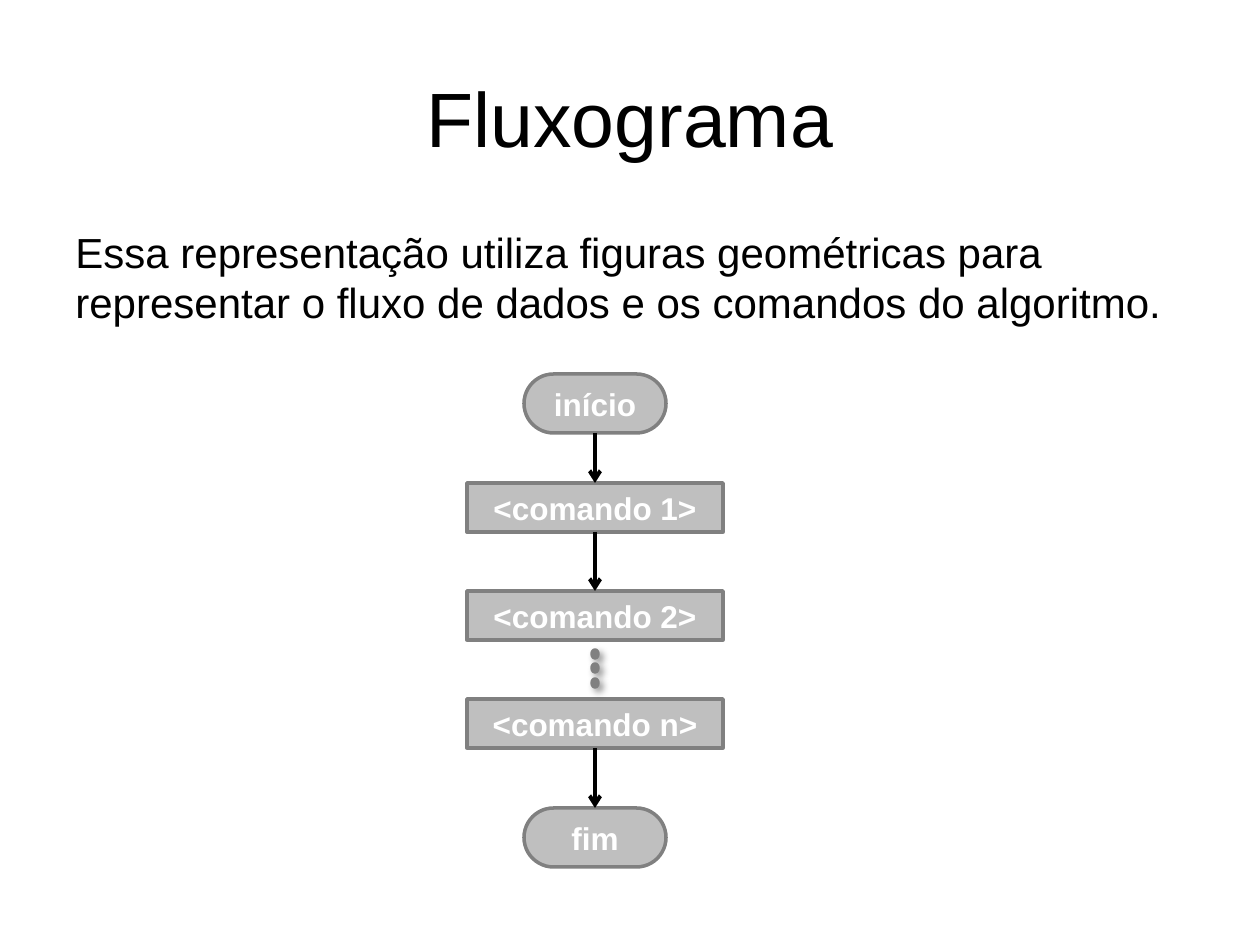
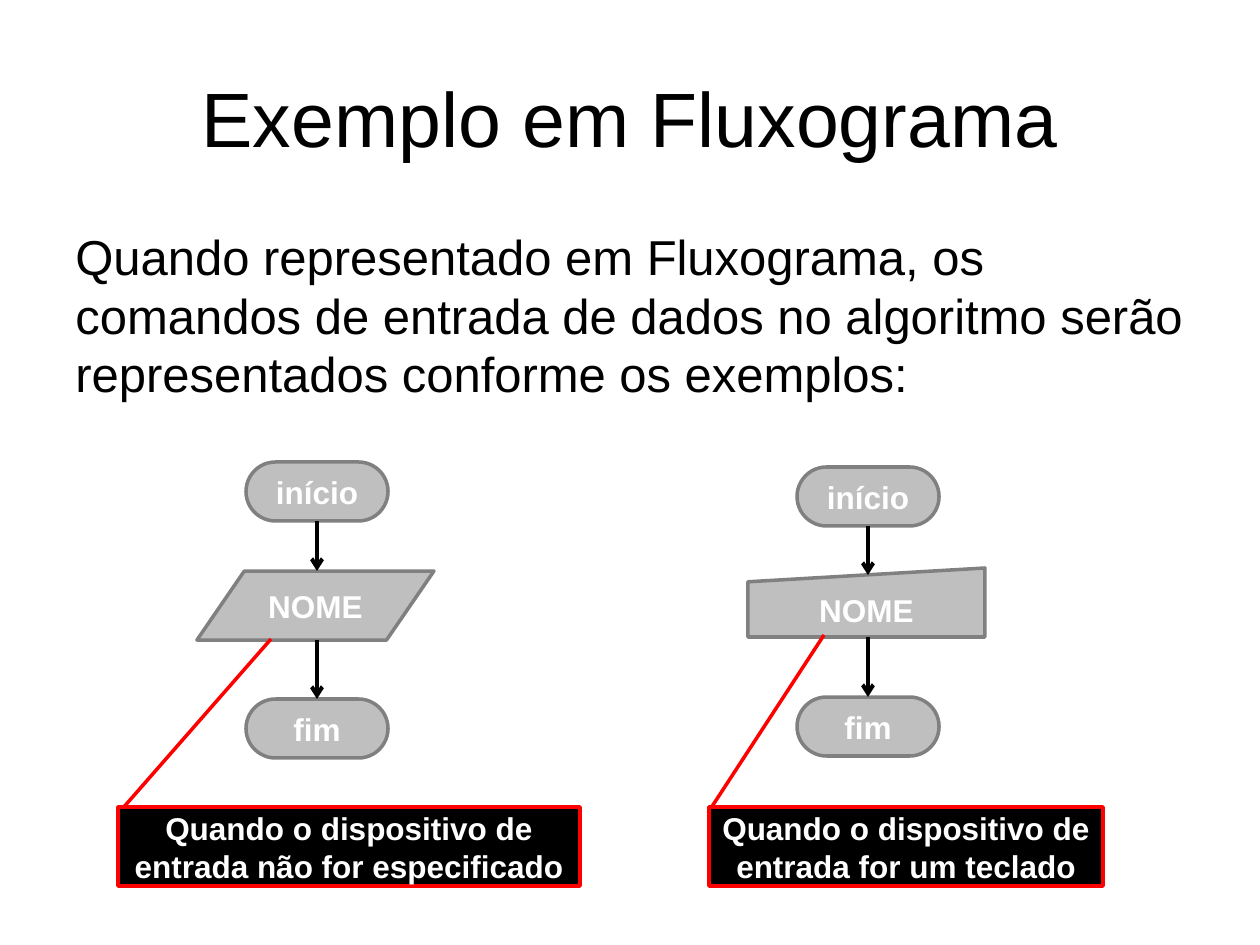
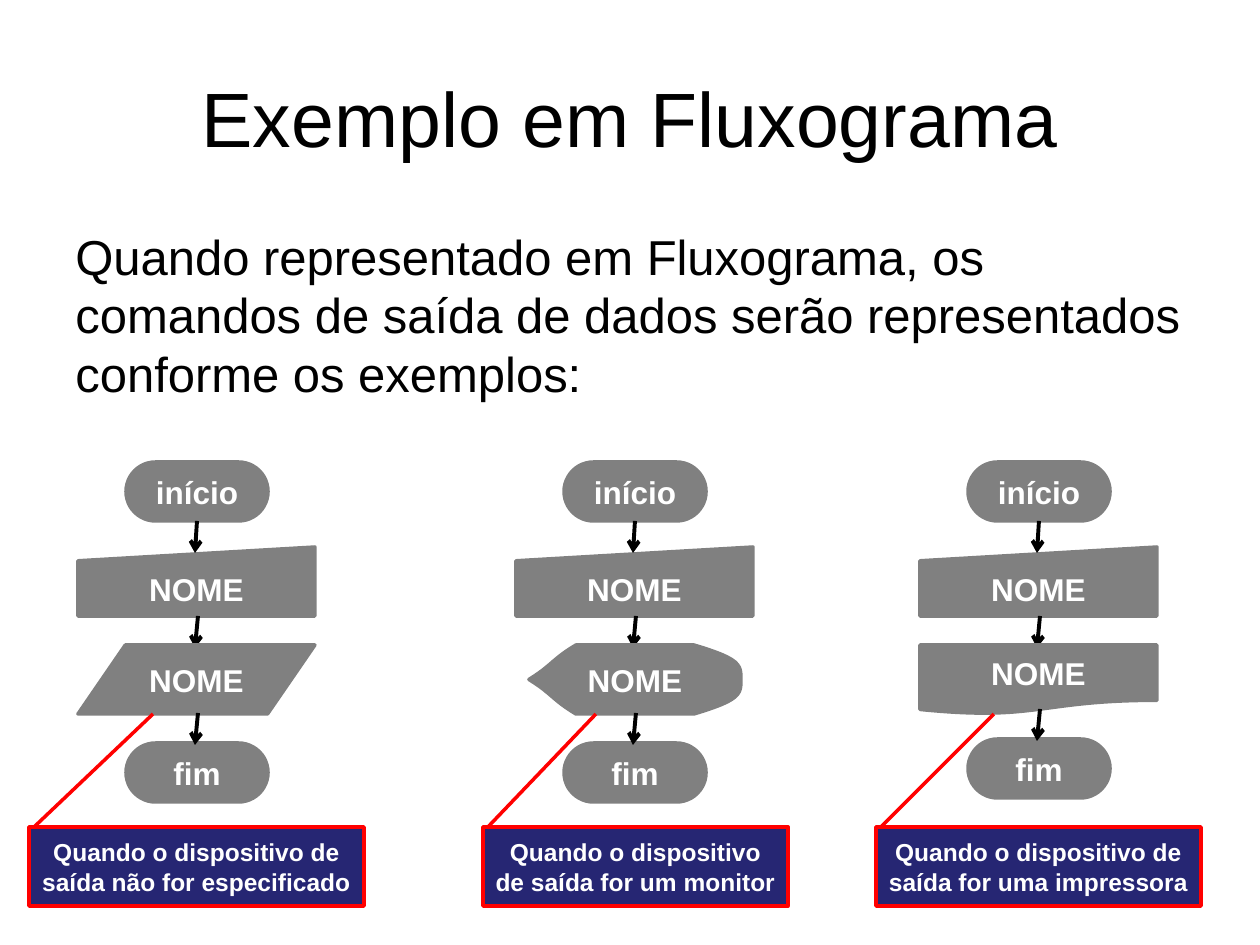
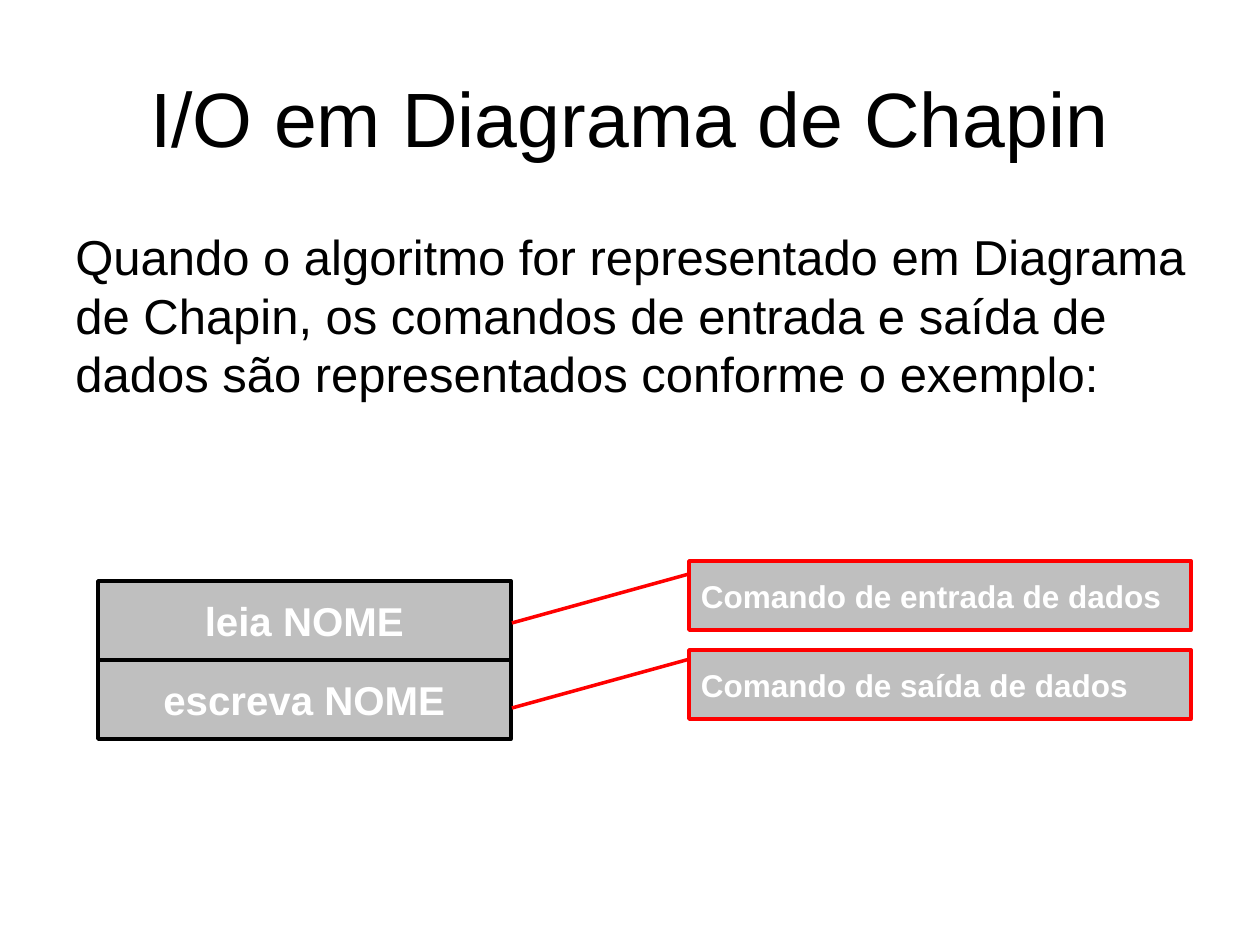
import dataclasses

import lxml.etree
import pptx
import pptx.dml.color
import pptx.enum.shapes
import pptx.enum.text
import pptx.oxml.ns
import pptx.util

SHAPE = pptx.enum.shapes.MSO_SHAPE
ALIGN = pptx.enum.text.PP_ALIGN
ANCHOR = pptx.enum.text.MSO_ANCHOR
RGB = pptx.dml.color.RGBColor.from_string
qn = pptx.oxml.ns.qn

PX = 914400 / 126
TOP, BOTTOM = 0, 2  # connection sites

TERMINAL_W, TERMINAL_H = 142, 59
SYMBOL_W, SYMBOL_H = 237, 69
CALLOUT_H = 79


@dataclasses.dataclass(frozen=True)
class Theme:
    font: str = "Arial"
    ink: str = "000000"
    paper: str = "FFFFFF"
    light: str = "BFBFBF"
    gray: str = "808080"
    red: str = "FF0000"
    navy: str = "262673"
    title_size: int = 44
    body_size: int = 28
    short_body_size: int = 24
    command_size: int = 23
    label_size: int = 18
    small_label_size: int = 14
    outline: float = 2
    arrow: float = 2.25


THEME = Theme()


def emu(px):
    return pptx.util.Emu(round(px * PX))


def write(frame, text, size, color, bold=False, align=ALIGN.CENTER, anchor=ANCHOR.MIDDLE):
    frame.word_wrap = True
    frame.vertical_anchor = anchor
    paragraph = frame.paragraphs[0]
    paragraph.alignment = align
    run = paragraph.add_run()
    run.text = text
    run.font.name = THEME.font
    run.font.size = pptx.util.Pt(size)
    run.font.bold = bold
    run.font.color.rgb = RGB(color)
    return paragraph


def add_heading(deck, title, body, body_height, body_size=THEME.body_size):
    """Add a slide with its title and introductory paragraph."""
    slide = deck.slides.add_slide(deck.slide_layouts[6])
    heading = slide.shapes.add_textbox(emu(63), emu(38), emu(1134), emu(157))
    write(heading.text_frame, title, THEME.title_size, THEME.ink)
    intro = slide.shapes.add_textbox(emu(63), emu(220), emu(1138), emu(body_height))
    paragraph = write(intro.text_frame, body, body_size, THEME.ink,
                      align=ALIGN.LEFT, anchor=ANCHOR.TOP)
    paragraph.space_before = pptx.util.Pt(round(body_size * 0.2))
    return slide


def paint(shape, fill, line):
    shape.shadow.inherit = False
    shape.fill.solid()
    shape.fill.fore_color.rgb = RGB(fill)
    shape.line.color.rgb = RGB(line)
    shape.line.width = pptx.util.Pt(THEME.outline)


def add_box(slide, kind, box, text="", fill=THEME.light, line=THEME.gray,
            size=THEME.label_size, align=ALIGN.CENTER):
    shape = slide.shapes.add_shape(kind, *map(emu, box))
    paint(shape, fill, line)
    if text:
        write(shape.text_frame, text, size, THEME.paper, True, align)
    return shape


def add_terminal(slide, center, top, text, fill=THEME.light):
    box = (center - TERMINAL_W // 2, top, TERMINAL_W, TERMINAL_H)
    terminal = add_box(slide, SHAPE.ROUNDED_RECTANGLE, box, text, fill)
    terminal.adjustments[0] = 0.5
    return terminal


def add_arrow(slide, start, end, source=None, target=None):
    """Draw an arrow, joined to the bottom of source and the top of target if given."""
    arrow = slide.shapes.add_connector(pptx.enum.shapes.MSO_CONNECTOR.STRAIGHT,
                                       *map(emu, (*start, *end)))
    if source is not None:
        arrow.begin_connect(source, BOTTOM)
    if target is not None:
        arrow.end_connect(target, TOP)
    arrow.line.color.rgb = RGB(THEME.ink)
    arrow.line.width = pptx.util.Pt(THEME.arrow)
    properties = arrow.element.spPr
    lxml.etree.SubElement(properties.find(qn("a:ln")), qn("a:tailEnd"), type="arrow")
    lxml.etree.SubElement(properties, qn("a:effectLst"))


def add_callout(slide, box, start, end, text, fill, **style):
    """Add a red-edged note whose leader runs from start to end, both in slide px."""
    left, top, width, height = box
    note = add_box(slide, SHAPE.LINE_CALLOUT_1, box, text, fill, THEME.red, **style)
    note.text_frame.margin_left = note.text_frame.margin_right = emu(12)
    ratios = [((y - top) / height, (x - left) / width) for x, y in (start, end)]
    for index, ratio in enumerate(ratios[0] + ratios[1]):
        note.adjustments[index] = ratio


def add_dot(slide, center, top):
    dot = add_box(slide, SHAPE.OVAL, (center - 3, top, 6, 8), fill=THEME.gray)
    effects = dot.element.spPr.find(qn("a:effectLst"))
    shadow = lxml.etree.SubElement(
        effects, qn("a:outerShdw"), blurRad=str(pptx.util.Pt(4)),
        dist=str(pptx.util.Pt(3)), dir=str(45 * 60000), algn="tl", rotWithShape="0")
    color = lxml.etree.SubElement(shadow, qn("a:srgbClr"), val=THEME.ink)
    lxml.etree.SubElement(color, qn("a:alpha"), val="40000")


def curve(p0, p1, p2, p3, steps=12):
    """Points along a cubic Bézier curve, without its first point."""
    for step in range(1, steps + 1):
        t = step / steps
        weights = ((1 - t) ** 3, 3 * t * (1 - t) ** 2, 3 * t * t * (1 - t), t ** 3)
        yield tuple(sum(w * p[axis] for w, p in zip(weights, (p0, p1, p2, p3)))
                    for axis in (0, 1))


def add_display(slide, center, top, text):
    """Monitor symbol: pointed on the left, rounded on the right."""
    width, height, shoulder = 212, SYMBOL_H, 47
    left, middle, bend = center - width // 2, height / 2, shoulder / 2
    right_shoulder = width - bend * 2
    outline = [(0, middle)]
    outline += curve((0, middle), (bend, 20), (bend, 14), (shoulder, 0))
    outline += curve((right_shoulder, 0), (width, 14), (width, 20), (width, middle))
    upper_right = (right_shoulder, 0)
    outline.insert(13, upper_right)
    outline += [(x, height - y) for x, y in reversed(outline[1:-1])]
    points = [(emu(left + x), emu(top + y)) for x, y in outline]
    builder = slide.shapes.build_freeform(*points[0])
    builder.add_line_segments(points[1:], close=True)
    display = builder.convert_to_shape()
    paint(display, THEME.gray, THEME.gray)
    write(display.text_frame, text, THEME.label_size, THEME.paper, True)


def add_command_flow(slide):
    center, first, step, width, height = 595, 483, 108, 256, 49
    commands = [
        add_box(slide, SHAPE.RECTANGLE,
                (center - width // 2, first + step * row, width, height), f"<comando {name}>")
        for row, name in enumerate("12n")
    ]
    begin = add_terminal(slide, center, 374, "início")
    finish = add_terminal(slide, center, 808, "fim")
    for source, target in ((begin, commands[0]), commands[:2], (commands[2], finish)):
        add_arrow(slide, (0, 0), (0, 0), source, target)
    for top in (650, 664, 679):
        add_dot(slide, center, top)


def add_input_flow(slide, center, kind, begin_top, symbol_top, finish_top, entry_top):
    """Start, one input symbol and end; entry_top is where the first arrow lands."""
    add_box(slide, kind, (center - 120, symbol_top, SYMBOL_W, SYMBOL_H), "NOME")
    begin = add_terminal(slide, center, begin_top, "início")
    finish = add_terminal(slide, center, finish_top, "fim")
    add_arrow(slide, (center, begin_top + TERMINAL_H), (center, entry_top), source=begin)
    add_arrow(slide, (center, symbol_top + SYMBOL_H), (center, finish_top), target=finish)


def add_output_flow(slide, center, kind, finish_top):
    """Start, keyboard input, output symbol (the display when kind is None) and end."""
    left, input_top, output_top = center - 119, 547, 645

    def short_arrow(top, source=None):
        add_arrow(slide, (center + 1, top), (center - 2, top + 32), source)

    add_box(slide, SHAPE.FLOWCHART_MANUAL_INPUT, (left, input_top, SYMBOL_W, SYMBOL_H),
            "NOME", THEME.gray)
    begin = add_terminal(slide, center, 462, "início", THEME.gray)
    add_terminal(slide, center, finish_top, "fim", THEME.gray)
    short_arrow(input_top + SYMBOL_H)
    if kind is None:
        add_display(slide, center, output_top, "NOME")
    else:
        add_box(slide, kind, (left, output_top, SYMBOL_W, SYMBOL_H), "NOME", THEME.gray)
    short_arrow(finish_top - 30)
    short_arrow(462 + TERMINAL_H, begin)


def add_flowchart_slide(deck):
    slide = add_heading(
        deck, "Fluxograma",
        "Essa representação utiliza figuras geométricas para representar o fluxo de dados "
        "e os comandos do algoritmo.", 134, THEME.short_body_size)
    add_command_flow(slide)


def add_input_slide(deck):
    slide = add_heading(
        deck, "Exemplo em Fluxograma",
        "Quando representado em Fluxograma, os comandos de entrada de dados no algoritmo "
        "serão representados conforme os exemplos:", 223)
    add_input_flow(slide, 317, SHAPE.FLOWCHART_DATA, 462, 571, 699, 571)
    add_input_flow(slide, 868, SHAPE.FLOWCHART_MANUAL_INPUT, 467, 568, 697, 575)
    for left, width, start, end, device in (
            (118, 462, (271, 639), (123, 808), "não for especificado"),
            (709, 394, (824, 635), (711, 808), "for um teclado")):
        add_callout(slide, (left, 807, width, CALLOUT_H), start, end,
                    f"Quando o dispositivo de entrada {device}", THEME.ink)


def add_output_slide(deck):
    slide = add_heading(
        deck, "Exemplo em Fluxograma",
        "Quando representado em Fluxograma, os comandos de saída de dados serão "
        "representados conforme os exemplos:", 213)
    for center, kind, finish_top in ((197, SHAPE.FLOWCHART_DATA, 743),
                                     (635, None, 743),
                                     (1039, SHAPE.FLOWCHART_DOCUMENT, 739)):
        add_output_flow(slide, center, kind, finish_top)
    for left, width, start_x, device in ((29, 335, 153, "não for especificado"),
                                         (483, 305, 596, "for um monitor"),
                                         (876, 325, 994, "for uma impressora")):
        add_callout(slide, (left, 827, width, CALLOUT_H), (start_x, 714), (left + 4, 828),
                    f"Quando o dispositivo de saída {device}", THEME.navy,
                    size=THEME.small_label_size)


def add_chapin_slide(deck):
    slide = add_heading(
        deck, "I/O em Diagrama de Chapin",
        "Quando o algoritmo for representado em Diagrama de Chapin, os comandos de entrada "
        "e saída de dados são representados conforme o exemplo:", 281)
    for row, command in enumerate(("leia NOME", "escreva NOME")):
        add_box(slide, SHAPE.RECTANGLE, (98, 581 + 79 * row, 413, 79), command,
                line=THEME.ink, size=THEME.command_size)
    for top, start, end, flow in ((561, (689, 574), (512, 623), "entrada"),
                                  (650, (690, 659), (512, 708), "saída")):
        add_callout(slide, (689, top, 502, SYMBOL_H), start, end,
                    f"Comando de {flow} de dados", THEME.light, align=ALIGN.LEFT)


def main():
    deck = pptx.Presentation()
    deck.slide_width, deck.slide_height = emu(1260), emu(945)
    add_flowchart_slide(deck)
    add_input_slide(deck)
    add_output_slide(deck)
    add_chapin_slide(deck)
    deck.save("out.pptx")


if __name__ == "__main__":
    main()
